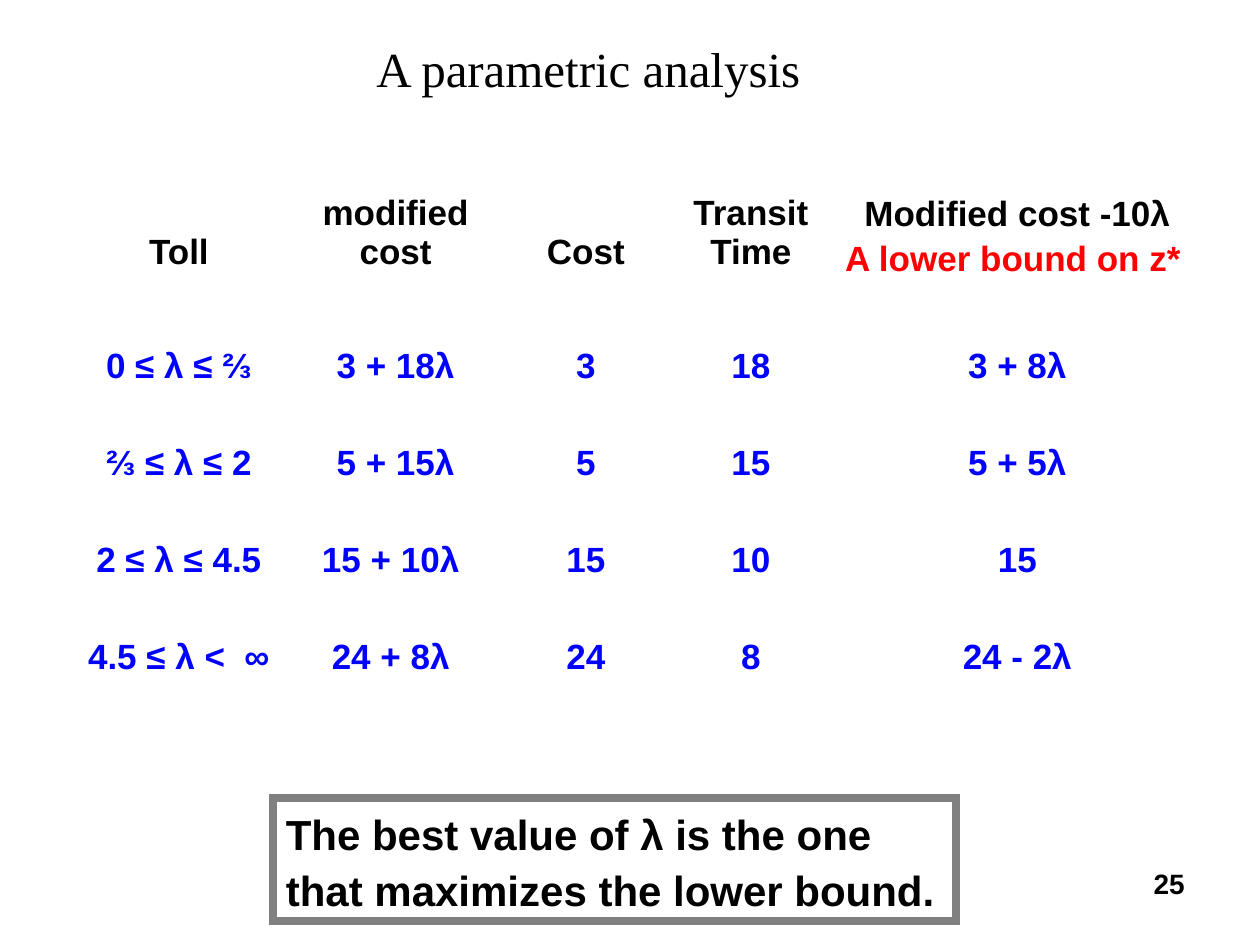
from lxml import etree
from pptx import Presentation
from pptx.dml.color import RGBColor
from pptx.enum import shapes, text
from pptx.oxml import ns
from pptx.util import Inches, Pt

COLORS = {"black": "000000", "blue": "0000FF", "red": "FF0000",
          "white": "FFFFFF", "gray": "808080"}
COLUMN_WIDTHS = [1.68, 1.76, 1.26, 1.36, 2.87]
ROW_HEIGHTS = [1.13, 0.9, 0.77, 0.77, 0.77]
ROWS = [
    ["Toll", "modified cost", "Cost", "Transit\nTime", "Modified cost -10λ"],
    ["0 ≤ λ ≤ ⅔", "3 + 18λ", "3", "18", "3 + 8λ"],
    ["⅔ ≤ λ ≤ 2", "5 + 15λ", "5", "15", "5 + 5λ"],
    ["2 ≤ λ ≤ 4.5", "15 + 10λ ", "15", "10", "15"],
    ["4.5 ≤ λ <  ∞", "24 + 8λ ", "24", "8", "24 - 2λ"],
]


def color(name):
    return RGBColor.from_string(COLORS[name])


def write(frame, content, size, align=text.PP_ALIGN.CENTER, color_name="black",
          font="Arial", bold=True):
    """Fill a text frame with one paragraph per line of content."""
    frame.word_wrap = True
    for index, line in enumerate(content.split("\n")):
        paragraph = frame.paragraphs[0] if index == 0 else frame.add_paragraph()
        paragraph.alignment = align
        run = paragraph.add_run()
        run.text = line
        run.font.name = font
        run.font.size = Pt(size)
        run.font.bold = bold
        run.font.color.rgb = color(color_name)


def add_label(slide, box, content, size, anchor=text.MSO_ANCHOR.TOP, **style):
    frame = slide.shapes.add_textbox(*map(Inches, box)).text_frame
    frame.vertical_anchor = anchor
    write(frame, content, size, **style)


def add_toll_table(slide, left, top):
    table = slide.shapes.add_table(
        len(ROWS), len(COLUMN_WIDTHS), Inches(left), Inches(top),
        Inches(sum(COLUMN_WIDTHS)), Inches(sum(ROW_HEIGHTS))).table
    table.first_row = table.horz_banding = False
    for column, width in zip(table.columns, COLUMN_WIDTHS):
        column.width = Inches(width)
    for row_index, (row, height) in enumerate(zip(table.rows, ROW_HEIGHTS)):
        row.height = Inches(height)
        for cell, content in zip(row.cells, ROWS[row_index]):
            cell.fill.solid()
            cell.fill.fore_color.rgb = color("white")
            cell.vertical_anchor = text.MSO_ANCHOR.BOTTOM
            write(cell.text_frame, content, 20,
                  color_name="blue" if row_index else "black")
    # Leave one line free under the last heading for the lower bound label.
    table.cell(0, len(COLUMN_WIDTHS) - 1).margin_bottom = Inches(0.35)


def add_callout(slide, box, content):
    shape = slide.shapes.add_shape(shapes.MSO_SHAPE.RECTANGLE, *map(Inches, box))
    shape.shadow.inherit = False
    shape.fill.solid()
    shape.fill.fore_color.rgb = color("white")
    shape.line.color.rgb = color("gray")
    shape.line.width = Pt(4.5)
    outline = shape.element.spPr.find(ns.qn("a:ln"))
    etree.SubElement(outline, ns.qn("a:miter"), lim="800000")
    frame = shape.text_frame
    frame.vertical_anchor = text.MSO_ANCHOR.TOP
    write(frame, content, 24, align=text.PP_ALIGN.LEFT)
    frame.paragraphs[0].line_spacing = 1.1
    frame.paragraphs[0].space_before = Pt(3.6)


def main():
    presentation = Presentation()
    presentation.slide_width = Inches(10)
    presentation.slide_height = Inches(7.5)
    slide = presentation.slides.add_slide(presentation.slide_layouts[6])

    add_label(slide, (7.17, 6.83, 2.33, 0.52), "25", 16,
              align=text.PP_ALIGN.RIGHT)
    add_label(slide, (0.42, 0.33, 8.5, 0.42), "A parametric analysis", 28,
              anchor=text.MSO_ANCHOR.MIDDLE, font="Times New Roman", bold=False)
    add_toll_table(slide, 0.58, 1.08)
    add_callout(slide, (2.17, 6.33, 5.42, 0.98),
                "The best value of λ is the one that maximizes the lower bound.")
    add_label(slide, (6.58, 1.83, 2.92, 0.44), "A lower bound on z*", 20,
              color_name="red")
    presentation.save("out.pptx")


if __name__ == "__main__":
    main()
